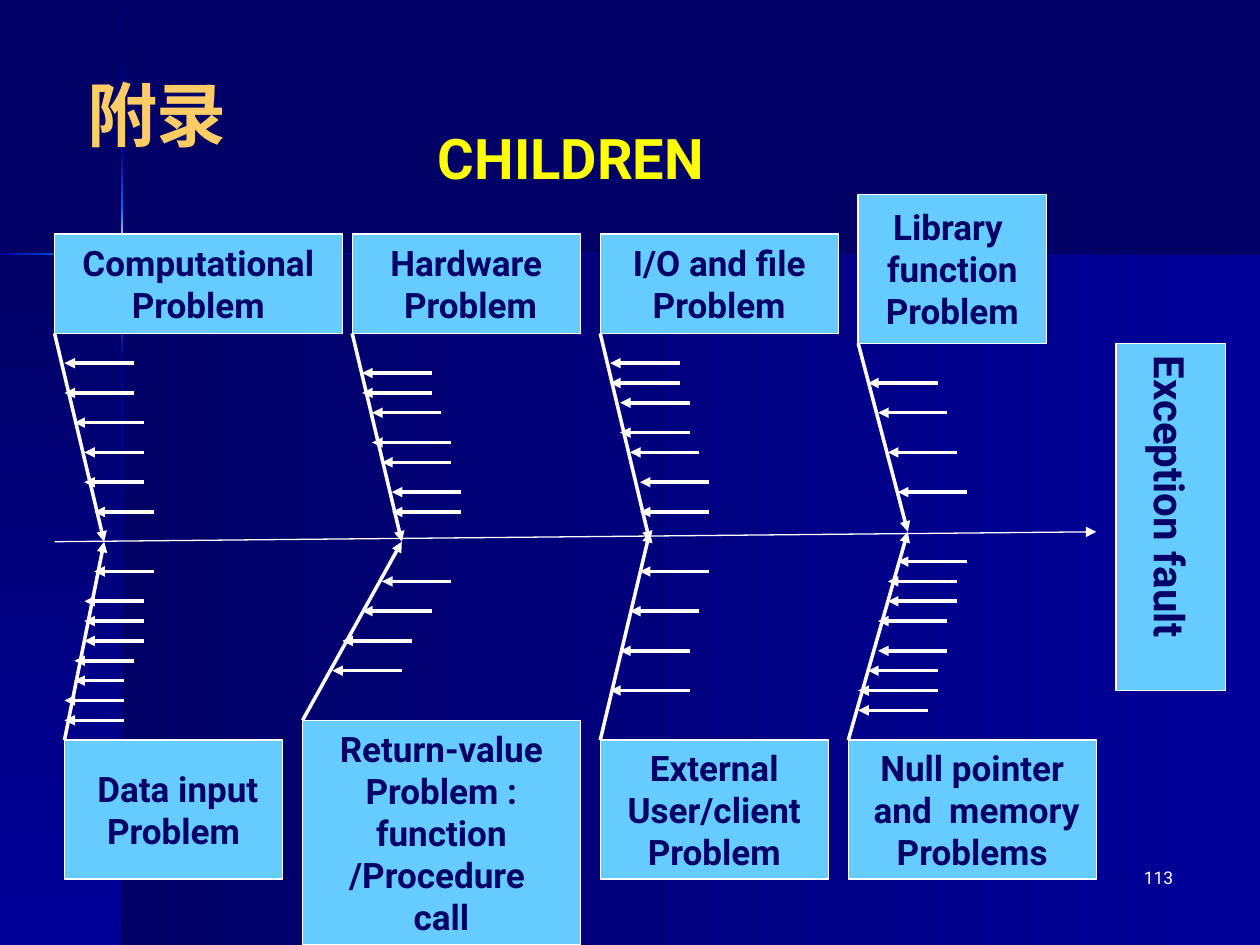
from lxml import etree
from pptx import Presentation
from pptx import util as u
from pptx.dml.color import RGBColor
from pptx.enum import shapes, text
from pptx.oxml import ns

NAVY = RGBColor(0x00, 0x00, 0x66)
BLUE = RGBColor(0x00, 0x00, 0x99)
GLOW = RGBColor(0x00, 0x66, 0xFF)
CREAM = RGBColor(0xFF, 0xFF, 0xCC)
SKY = RGBColor(0x66, 0xCC, 0xFF)
WHITE = RGBColor(0xFF, 0xFF, 0xFF)
YELLOW = RGBColor(0xFF, 0xFF, 0x00)
ORANGE = RGBColor(0xFF, 0xCC, 0x66)
LATIN, CHINESE = "Roboto", "Noto Sans CJK SC"

# Content; all lengths are in centimetres
WIDTH, HEIGHT = 25.4, 19.05
TITLE, SUBTITLE, PAGE_NUMBER = "附录", "CHILDREN", "113"
EFFECT = ["Exception fault"]
EFFECT_BOX = (22.5, 6.92, 2.2, 7)
SPINE = ((1.1, 10.92), (22.1, 10.72))

# Backdrop: box, gradient angle (clockwise), evenly spaced colours
DOWN, LEFTWARD = 90, 180
BACKDROP = [
    ((2.46, 5.13, 22.94, 13.92), LEFTWARD, [BLUE, NAVY]),
    ((0, 5.13, 2.46, 13.92), DOWN, [NAVY, BLUE]),
    ((2.44, 0.03, 0.05, 3.05), DOWN, [NAVY, BLUE]),
    ((2.44, 7.16, 0.05, 11.89), DOWN, [BLUE, NAVY]),
    ((4.5, 5.1, 20.9, 0.05), LEFTWARD, [NAVY, BLUE]),
    ((2.44, 6.05, 0.05, 1.11), DOWN, [GLOW, BLUE]),
    ((2.44, 3.08, 0.05, 1.11), DOWN, [BLUE, GLOW]),
    ((2.44, 4.19, 0.05, 1.86), DOWN, [GLOW, CREAM, GLOW]),
    ((0, 5.1, 1.55, 0.05), LEFTWARD, [GLOW, BLUE]),
]

# Causes: lines of text, box, joint on the spine, twigs (tip x, y, length)
CAUSES_ABOVE = [
    (["Computational", "Problem"], (1.1, 4.72, 5.8, 2), (2.1, 10.92),
     [(1.3, 7.32, 1.4), (1.3, 7.92, 1.4), (1.5, 8.52, 1.4),
      (1.7, 9.12, 1.2), (1.7, 9.72, 1.2), (1.9, 10.32, 1.2)]),
    (["Hardware", " Problem"], (7.1, 4.72, 4.6, 2), (8.1, 10.92),
     [(7.3, 7.52, 1.4), (7.3, 7.92, 1.4), (7.5, 8.32, 1.4), (7.5, 8.92, 1.6),
      (7.7, 9.32, 1.4), (7.9, 9.92, 1.4), (7.9, 10.32, 1.4)]),
    (["I/O and file", "Problem"], (12.1, 4.72, 4.8, 2), (13.1, 10.92),
     [(12.3, 7.32, 1.4), (12.3, 7.72, 1.4), (12.5, 8.12, 1.4), (12.5, 8.72, 1.4),
      (12.7, 9.12, 1.4), (12.9, 9.72, 1.4), (12.9, 10.32, 1.4)]),
    (["Library ", "function", "Problem"], (17.3, 3.92, 3.8, 3), (18.3, 10.72),
     [(17.5, 7.72, 1.4), (17.7, 8.32, 1.4), (17.9, 9.12, 1.4), (18.1, 9.92, 1.4)]),
]
CAUSES_BELOW = [
    ([" Data input", "Problem"], (1.3, 14.92, 4.4, 2.8), (2.1, 10.92),
     [(1.9, 11.52, 1.2), (1.7, 12.12, 1.2), (1.7, 12.52, 1.2), (1.7, 12.92, 1.2),
      (1.5, 13.32, 1.2), (1.5, 13.72, 1), (1.3, 14.12, 1.2), (1.3, 14.52, 1.2)]),
    (["Return-value", "Problem :", "function", "/Procedure ", "call"],
     (6.1, 14.52, 5.6, 4.53), (8.1, 10.92),
     [(7.7, 11.72, 1.4), (7.3, 12.32, 1.4), (6.9, 12.92, 1.4), (6.7, 13.52, 1.4)]),
    (["External", "User/client", "Problem"], (12.1, 14.92, 4.6, 2.8), (13.1, 10.72),
     [(12.9, 11.52, 1.4), (12.7, 12.32, 1.4), (12.5, 13.12, 1.4), (12.3, 13.92, 1.6)]),
    (["Null pointer", " and  memory", "Problems"], (17.1, 14.92, 5, 2.8), (18.3, 10.72),
     [(18.1, 11.32, 1.4), (17.9, 11.72, 1.4), (17.9, 12.12, 1.4), (17.7, 12.52, 1.4),
      (17.7, 13.12, 1.4), (17.5, 13.52, 1.4), (17.3, 13.92, 1.6), (17.3, 14.32, 1.4)]),
]


def add_child(parent, tag, **attributes):
    return etree.SubElement(parent, ns.qn(tag), **attributes)


def place(shape, box):
    shape.left, shape.top, shape.width, shape.height = map(u.Cm, box)


def add_run(paragraph, words, size, color, bold=True, name=LATIN):
    run = paragraph.add_run()
    run.text = words
    run.font.size, run.font.bold, run.font.name = u.Pt(size), bold, name
    run.font.color.rgb = color
    add_child(run._r.get_or_add_rPr(), "a:ea", typeface=name)


def add_rectangle(slide, box):
    shape = slide.shapes.add_shape(shapes.MSO_SHAPE.RECTANGLE, *map(u.Cm, box))
    shape.shadow.inherit = False
    return shape


def add_panel(slide, box, angle, colors):
    shape = add_rectangle(slide, box)
    shape.line.fill.background()
    shape.fill.gradient()
    gradient = shape._element.spPr.find(ns.qn("a:gradFill"))
    for part in list(gradient):
        gradient.remove(part)
    stops = add_child(gradient, "a:gsLst")
    for index, color in enumerate(colors):
        position = 100000 * index // (len(colors) - 1)
        stop = add_child(stops, "a:gs", pos=str(position))
        add_child(stop, "a:srgbClr", val=str(color))
    add_child(gradient, "a:lin", ang=str(angle * 60000), scaled="0")


def add_label(slide, lines, box, size=20):
    shape = add_rectangle(slide, box)
    shape.fill.solid()
    shape.fill.fore_color.rgb = SKY
    shape.line.color.rgb = WHITE
    shape.line.width = u.Pt(0.75)
    frame = shape.text_frame
    frame.word_wrap = False
    frame.vertical_anchor = text.MSO_ANCHOR.MIDDLE
    for index, line in enumerate(lines):
        paragraph = frame.add_paragraph() if index else frame.paragraphs[0]
        paragraph.alignment = text.PP_ALIGN.CENTER
        add_run(paragraph, line, size, NAVY)
    return shape


def add_arrow(slide, start, end, width=2):
    arrow = slide.shapes.add_connector(
        shapes.MSO_CONNECTOR.STRAIGHT, *map(u.Cm, start + end))
    arrow.line.color.rgb = WHITE
    arrow.line.width = u.Pt(width)
    properties = arrow._element.spPr
    add_child(properties.find(ns.qn("a:ln")), "a:tailEnd", type="triangle")
    add_child(properties, "a:effectLst")


def main():
    presentation = Presentation()
    presentation.slide_width, presentation.slide_height = u.Cm(WIDTH), u.Cm(HEIGHT)
    slide = presentation.slides.add_slide(presentation.slide_layouts[1])
    slide.background.fill.solid()
    slide.background.fill.fore_color.rgb = NAVY

    # Backdrop
    for panel in BACKDROP:
        add_panel(slide, *panel)

    # Title and subtitle, in front of the backdrop
    title, body = slide.shapes.title, slide.placeholders[1]
    place(body, (2.97, 2.51, 20.96, 1.6))
    place(title, (1.5, 1.32, 4.8, 1.96))
    for placeholder in (body, title):
        slide.shapes._spTree.append(placeholder._element)
        placeholder.text_frame.auto_size = text.MSO_AUTO_SIZE.NONE
        placeholder.text_frame.vertical_anchor = text.MSO_ANCHOR.TOP
        placeholder.text_frame.paragraphs[0].alignment = text.PP_ALIGN.LEFT
    add_run(title.text_frame.paragraphs[0], TITLE, 40, ORANGE, name=CHINESE)
    paragraph = body.text_frame.paragraphs[0]
    paragraph.line_spacing, paragraph.space_before = 0.9, u.Pt(8)
    properties = paragraph._p.get_or_add_pPr()
    properties.set("marL", str(u.Cm(5.6)))
    properties.set("indent", "0")
    add_child(properties, "a:buNone")
    add_run(paragraph, SUBTITLE, 32, YELLOW)

    # Spine and effect
    add_arrow(slide, *SPINE, width=0.75)
    effect = add_label(slide, EFFECT, EFFECT_BOX, size=24)
    effect.text_frame._txBody.bodyPr.set("vert", "eaVert")

    # Causes with their bones and twigs
    for causes, above in ((CAUSES_ABOVE, True), (CAUSES_BELOW, False)):
        for lines, box, joint, twigs in causes:
            left, top, _, height = box
            add_label(slide, lines, box)
            add_arrow(slide, (left, top + height if above else top), joint)
            for tip, y, length in twigs:
                add_arrow(slide, (tip + length, y), (tip, y))

    # Page number
    number = slide.shapes.add_textbox(*map(u.Cm, (18.62, 17.35, 5.28, 1.27)))
    number.text_frame.word_wrap = True
    number.text_frame.paragraphs[0].alignment = text.PP_ALIGN.RIGHT
    add_run(number.text_frame.paragraphs[0], PAGE_NUMBER, 10, WHITE, bold=False)

    presentation.save("out.pptx")


if __name__ == "__main__":
    main()
